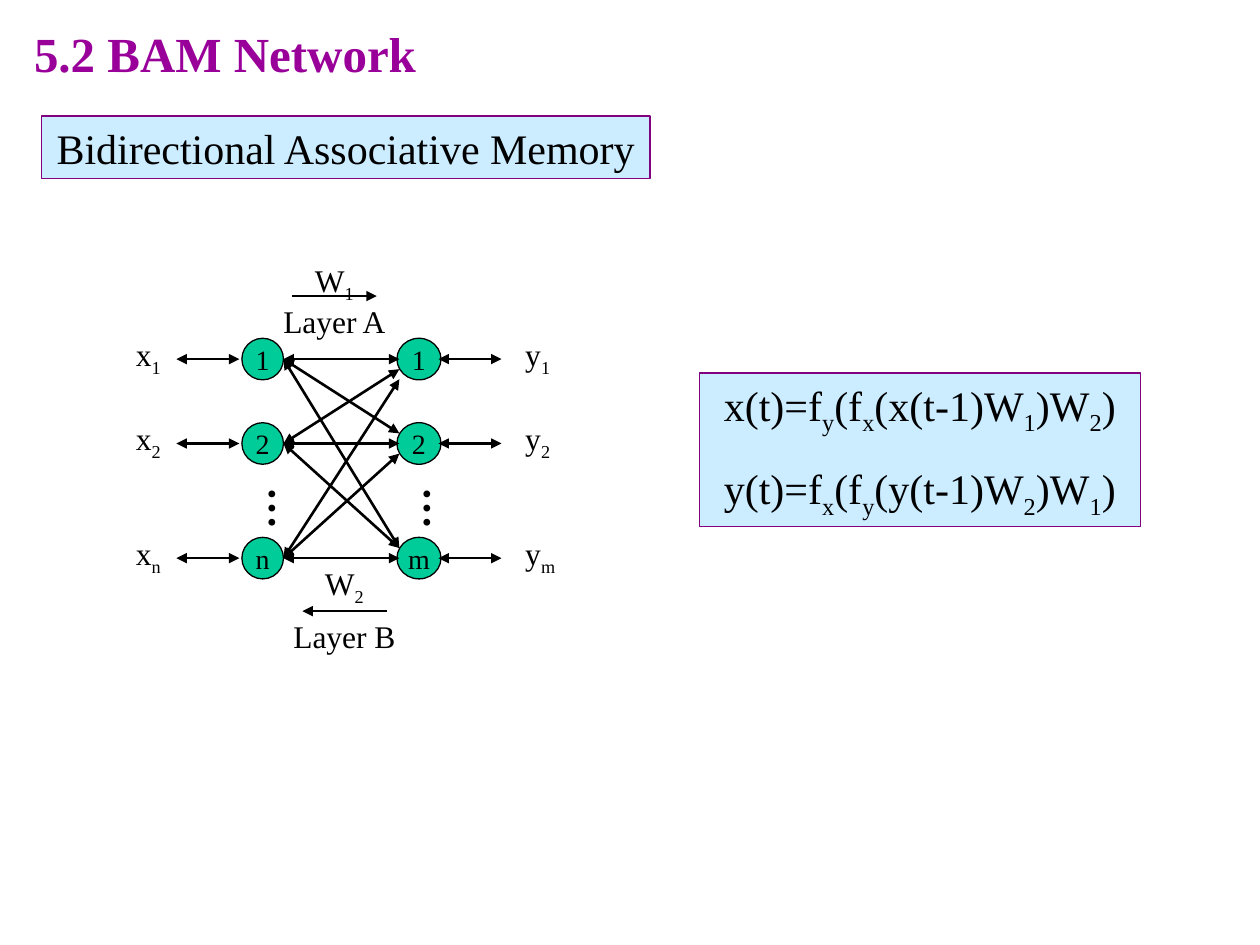
from dataclasses import dataclass

from lxml import etree
from pptx import Presentation
from pptx import util as u
from pptx.dml.color import RGBColor
from pptx.enum import shapes, text
from pptx.oxml import ns

Inches, Pt = u.Inches, u.Pt


@dataclass(frozen=True)
class Theme:
    font: str = "Times New Roman"
    heading: str = "990099"
    ink: str = "000000"
    panel: str = "CCECFF"
    panel_edge: str = "800080"
    neuron: str = "00CC99"
    title_size: float = 28
    panel_size: float = 24
    label_size: float = 18
    neuron_size: float = 16
    thin: float = 0.75
    thick: float = 1.5


THEME = Theme()
LEFT, CENTER = text.PP_ALIGN.LEFT, text.PP_ALIGN.CENTER


def rgb(value):
    return RGBColor.from_string(value)


def style(run, size, color=THEME.ink, bold=False):
    run.font.name = THEME.font
    run.font.size = Pt(size)
    run.font.color.rgb = rgb(color)
    run.font.bold = bold


def write(frame, lines, size, align=LEFT, before=0, bold=False):
    frame.text = "\n".join(line.replace("_", "") for line in lines)
    for paragraph, line in zip(frame.paragraphs, lines):
        paragraph.text = ""
        paragraph.alignment = align
        paragraph.space_before = Pt(before)
        first, *rest = line.split("_")
        pieces = [(first, False)]
        for part in rest:
            pieces += [(part[0], True), (part[1:], False)]
        for content, lowered in pieces:
            if content:
                run = paragraph.add_run()
                run.text = content
                style(run, size, bold=bold)
                if lowered:
                    run.font._element.set("baseline", "-25000")


def add_shape(parent, kind, box, fill, edge):
    shape = parent.add_shape(kind, *map(Inches, box))
    shape.shadow.inherit = False
    shape.fill.solid()
    shape.fill.fore_color.rgb = rgb(fill)
    shape.line.color.rgb = rgb(edge)
    shape.line.width = Pt(THEME.thin)
    return shape


def add_neuron(parent, box, name):
    neuron = add_shape(parent, shapes.MSO_SHAPE.OVAL, box, THEME.neuron, THEME.ink)
    frame = neuron.text_frame
    frame.word_wrap = False
    frame.vertical_anchor = text.MSO_ANCHOR.MIDDLE
    write(frame, [name], THEME.neuron_size, CENTER)


def add_label(parent, box, content):
    frame = parent.add_textbox(*map(Inches, box)).text_frame
    frame.word_wrap = True
    write(frame, [content], THEME.label_size, before=11.2)


def add_ellipsis(parent, box):
    frame = parent.add_textbox(*map(Inches, box)).text_frame
    frame.word_wrap = True
    frame.margin_left = frame.margin_right = Inches(0.05)
    frame.margin_top = frame.margin_bottom = Inches(0.1)
    frame._txBody.bodyPr.set("vert", "eaVert")
    write(frame, ["…"], THEME.panel_size, before=15, bold=True)


def add_arrow(parent, start, end, heads=("headEnd", "tailEnd")):
    arrow = parent.add_connector(
        shapes.MSO_CONNECTOR.STRAIGHT, *map(Inches, (*start, *end)))
    arrow.line.color.rgb = rgb(THEME.ink)
    arrow.line.width = Pt(THEME.thick)
    line = arrow.line._get_or_add_ln()
    for head in heads:
        etree.SubElement(line, ns.qn(f"a:{head}"), type="triangle")
    etree.SubElement(arrow._element.spPr, ns.qn("a:effectLst"))


def place_title(slide, box, content):
    title = slide.shapes.title
    title.left, title.top, title.width, title.height = map(Inches, box)
    frame = title.text_frame
    frame.text = content
    frame.auto_size = text.MSO_AUTO_SIZE.NONE
    frame.vertical_anchor = text.MSO_ANCHOR.MIDDLE
    heading = frame.paragraphs[0]
    heading.alignment = LEFT
    style(heading.runs[0], THEME.title_size, THEME.heading, True)


def place_panel(slide, box, lines):
    panel = add_shape(slide.shapes, shapes.MSO_SHAPE.RECTANGLE, box,
                      THEME.panel, THEME.panel_edge)
    frame = panel.text_frame
    frame.word_wrap = True
    frame.vertical_anchor = text.MSO_ANCHOR.TOP
    write(frame, lines, THEME.panel_size, CENTER, before=15)


def place_direction(parent, box, weight, layer, arrow_head, weight_shift):
    left, top, width, height = box
    middle = top + height / 2
    add_arrow(parent, (left + 0.17, middle), (left + 0.84, middle), [arrow_head])
    add_label(parent, (left, middle, width, 0.4), layer)
    add_label(parent, (left + weight_shift, top, 0.58, 0.44), weight)


def place_network(slide, box):
    left, top, width, height = box
    network = slide.shapes.add_group_shape().shapes
    rows = [top + drop for drop in (0.83, 1.5, 2.41)]
    columns = [
        ("x", "12n", left + 0.94, 0.33, left, (left + 0.42, left + 0.92)),
        ("y", "12m", left + 2.17, 0.35, left + width - 0.58,
         (left + 2.5, left + 3)),
    ]
    for signal, names, neuron_left, neuron_width, label_left, (start, end) in columns:
        for name, row in zip(names, rows):
            add_neuron(network, (neuron_left, row - 0.165, neuron_width, 0.33), name)
            add_arrow(network, (start, row), (end, row))
            label_width = 0.58 if name == "m" else 0.42
            add_label(network, (label_left, row - 0.24, label_width, 0.44),
                      f"{signal}_{name}")
        add_ellipsis(network, (neuron_left, top + 1.75, 0.6, 0.42))

    for i, source in enumerate(rows):
        for j, target in enumerate(rows):
            landing = target + 0.08 * max(i - j, -1)
            add_arrow(network, (left + 1.27, source), (left + 2.19, landing))

    place_direction(network, (left + 1.17, top, 1.17, 0.66),
                    "W_1", "Layer A", "tailEnd", 0.25)
    place_direction(network, (left + 1.25, top + height - 0.82, 1.17, 0.84),
                    "W_2", "Layer B", "headEnd", 0.25)


def main():
    deck = Presentation()
    deck.slide_width, deck.slide_height = Inches(10), Inches(7.5)
    slide = deck.slides.add_slide(deck.slide_layouts.get_by_name("Title Only"))
    place_title(slide, (0.17, 0.17, 3.33, 0.5), "5.2 BAM Network")
    place_panel(slide, (0.33, 0.92, 4.83, 0.5), ["Bidirectional Associative Memory"])
    place_network(slide, (0.98, 2.02, 3.67, 3.23))
    place_panel(slide, (5.55, 2.96, 3.5, 1.22),
                ["x(t)=f_y(f_x(x(t-1)W_1)W_2)", "y(t)=f_x(f_y(y(t-1)W_2)W_1)"])
    deck.save("out.pptx")


if __name__ == "__main__":
    main()
